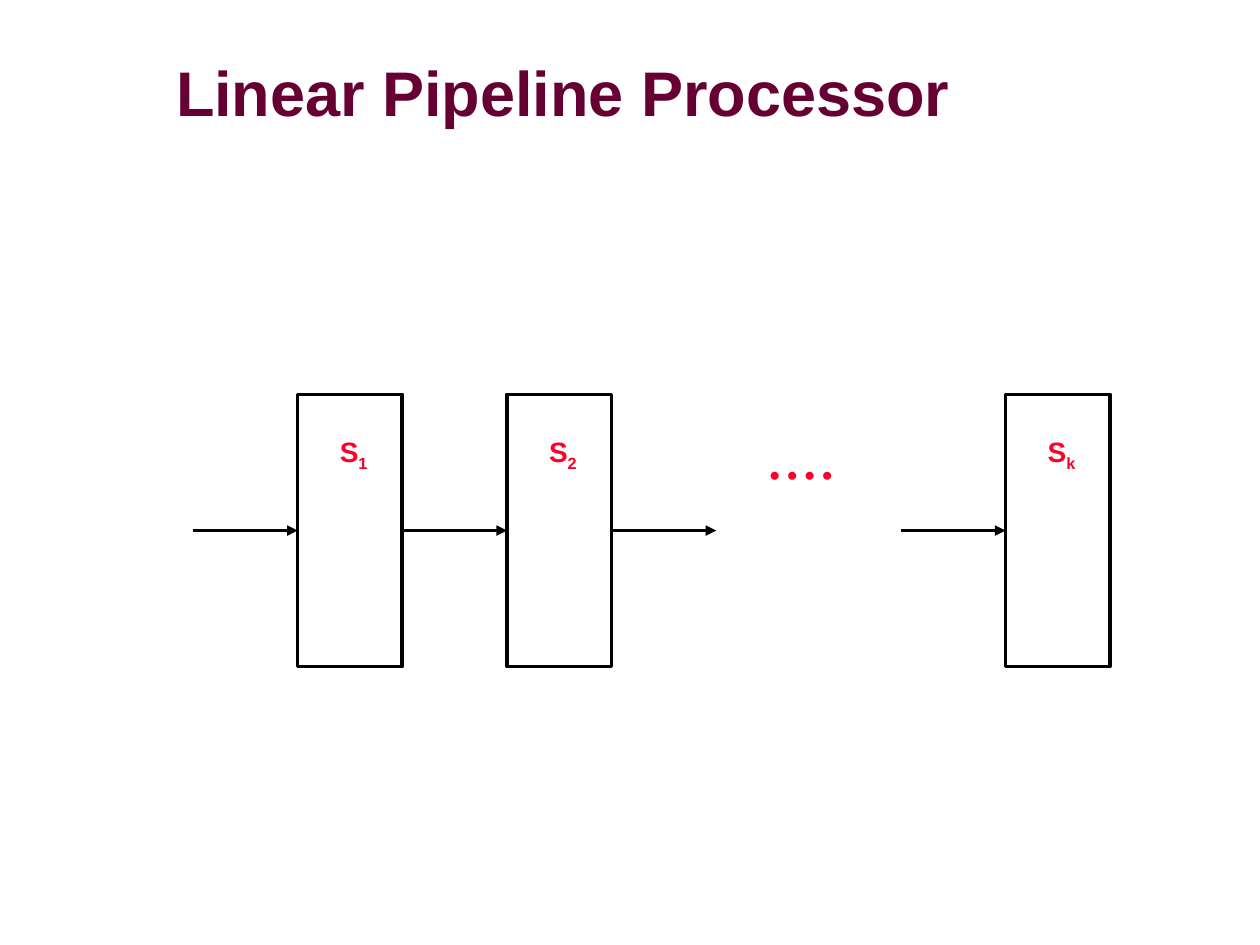
from dataclasses import dataclass

from lxml.etree import SubElement
from pptx import Presentation
from pptx.dml.color import RGBColor as Color
from pptx.enum.shapes import MSO_CONNECTOR as Connector, MSO_SHAPE as Shape
from pptx.enum.text import MSO_ANCHOR as Anchor, MSO_AUTO_SIZE as AutoSize, PP_ALIGN as Align
from pptx.oxml.ns import qn
from pptx.util import Cm, Pt


@dataclass(frozen=True)
class Theme:
    font: str = "Arial"
    title: Color = Color(0x66, 0x00, 0x33)
    label: Color = Color(0xFC, 0x01, 0x28)
    ink: Color = Color(0, 0, 0)
    paper: Color = Color(255, 255, 255)
    title_size: Pt = Pt(36)
    label_size: Pt = Pt(16)
    stroke: Pt = Pt(2)


theme = Theme()


def add_span(para, text, size, color):
    span = para.add_run()
    span.text = text
    span.font.name = theme.font
    span.font.size = size
    span.font.bold = True
    span.font.color.rgb = color
    return span


def add_label(page, left, top, width, height, text, subscript=""):
    box = page.shapes.add_textbox(Cm(left), Cm(top), Cm(width), Cm(height))
    box.text_frame.word_wrap = False
    box.text_frame.auto_size = AutoSize.SHAPE_TO_FIT_TEXT
    para = box.text_frame.paragraphs[0]
    para.space_before = Pt(10)
    add_span(para, text, theme.label_size, theme.label)
    if subscript:
        span = add_span(para, subscript, theme.label_size, theme.label)
        span.font._element.set("baseline", "-25000")


deck = Presentation()
deck.slide_width, deck.slide_height = Cm(25.4), Cm(19.05)
page = deck.slides.add_slide(deck.slide_layouts[5])
page.background.fill.solid()
page.background.fill.fore_color.rgb = theme.paper

# Title
title = page.shapes.title
title.left, title.top, title.width, title.height = Cm(1.9), Cm(0.91), Cm(20.27), Cm(2.06)
frame = title.text_frame
frame.vertical_anchor = Anchor.MIDDLE
frame.margin_left = Cm(1.65)
para = frame.paragraphs[0]
para.alignment = Align.LEFT
para.line_spacing = 0.9
add_span(para, "Linear Pipeline Processor", theme.title_size, theme.title)

# Pipeline stages
stage_width, stage_height, stage_top = 2.11, 5.49, 7.95
stages = {"1": 6.0, "2": 10.22, "k": 20.27}
for subscript, left in stages.items():
    stage = page.shapes.add_shape(
        Shape.RECTANGLE, Cm(left), Cm(stage_top), Cm(stage_width), Cm(stage_height))
    stage.shadow.inherit = False
    stage.fill.solid()
    stage.fill.fore_color.rgb = theme.paper
    stage.line.color.rgb = theme.ink
    stage.line.width = theme.stroke
    add_label(page, left + 0.6, 8.64, 1.07, 1.02, "S", subscript)

# An arrow into every stage, and one out of the second
arrow_length = 2.11
arrow_y = Cm(stage_top + stage_height / 2)
arrow_ends = [*stages.values(), stages["2"] + stage_width + arrow_length]
for end in arrow_ends:
    arrow = page.shapes.add_connector(
        Connector.STRAIGHT, Cm(end - arrow_length), arrow_y, Cm(end), arrow_y)
    arrow.line.color.rgb = theme.ink
    arrow.line.width = theme.stroke
    SubElement(arrow.line._get_or_add_ln(), qn("a:tailEnd"), type="triangle")
    SubElement(arrow._element.spPr, qn("a:effectLst"))

# Stages left out
add_label(page, 15.27, 9.09, 2.11, 0.94, "• • • •")

deck.save("out.pptx")
